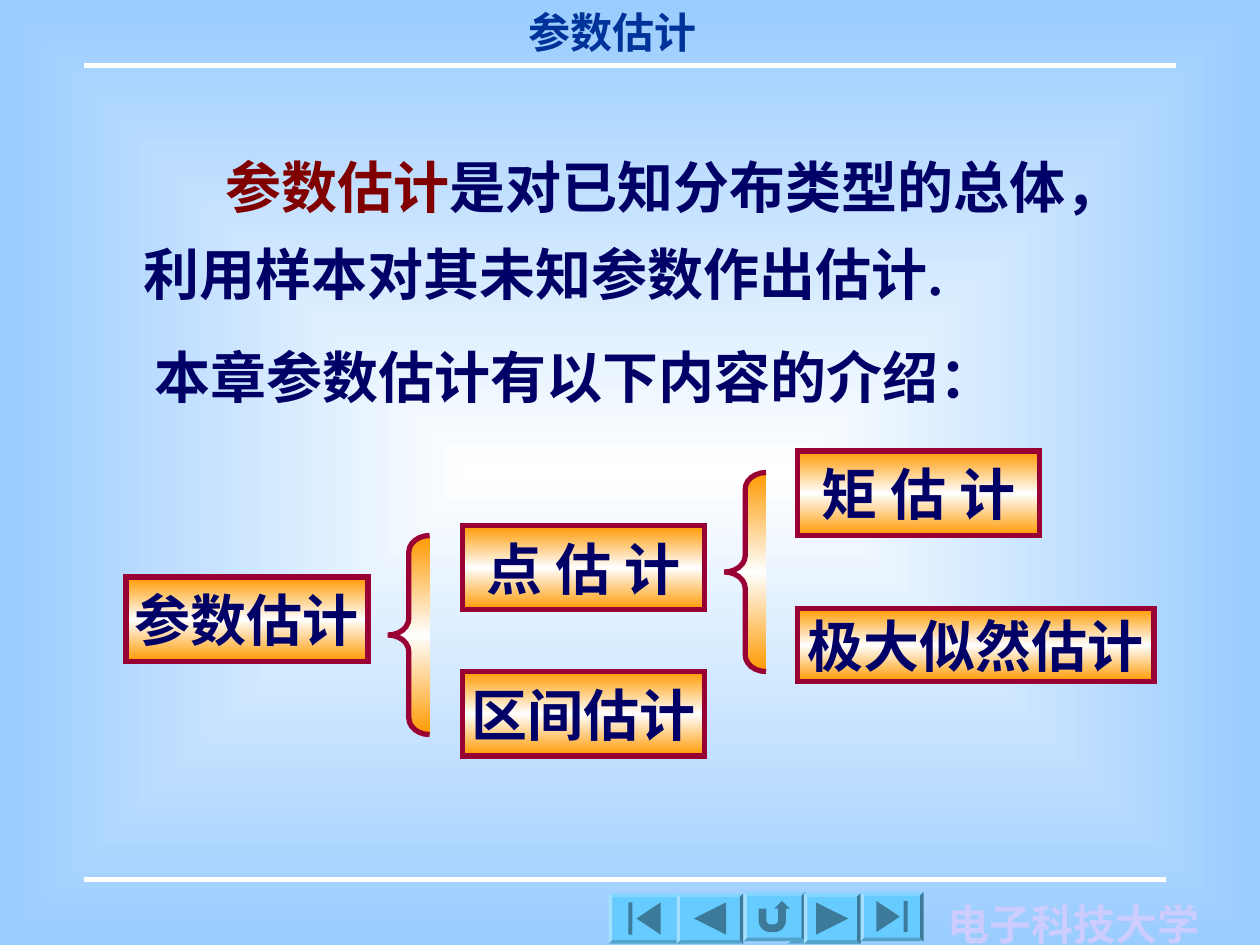
from copy import deepcopy

from lxml import etree
from pptx import Presentation
from pptx.dml.color import RGBColor
from pptx.enum.shapes import MSO_CONNECTOR, MSO_SHAPE as SHAPE
from pptx.enum.text import MSO_ANCHOR as ANCHOR, PP_ALIGN as ALIGN
from pptx.oxml.ns import qn
from pptx.util import Inches, Pt

WHITE = RGBColor(0xFF, 0xFF, 0xFF)
SKY = RGBColor(0x99, 0xCC, 0xFF)
ORANGE = RGBColor(0xFF, 0x99, 0x00)
CRIMSON = RGBColor(0x99, 0x00, 0x33)
MAROON = RGBColor(0x80, 0x00, 0x00)
NAVY = RGBColor(0x00, 0x00, 0x66)
BLUE = RGBColor(0x00, 0x33, 0x99)
BUTTON = RGBColor(0x66, 0xCC, 0xFF)
LILAC = RGBColor(0xCC, 0xCC, 0xFF)
SERIF, SANS = "Times New Roman", "Noto Sans CJK SC"


def style(p, size, color, name):
    p.font.size, p.font.bold, p.font.name = Pt(size), True, name
    p.font.color.rgb = color


def add_orange_shape(kind, x, y, w, h):
    """Add a shape with a vertical orange-white-orange gradient."""
    sp = s.shapes.add_shape(kind, Inches(x), Inches(y), Inches(w), Inches(h))
    sp.shadow.inherit = False
    sp.fill.gradient()
    sp.fill.gradient_angle = 90
    gs_list = sp._element.spPr.find(".//" + qn("a:gsLst"))
    gs_list.insert(1, deepcopy(gs_list[0]))
    for stop, pos, color in zip(sp.fill.gradient_stops, (0, 0.5, 1), (ORANGE, WHITE, ORANGE)):
        stop.position, stop.color.rgb = pos, color
    sp.line.color.rgb, sp.line.width = CRIMSON, Pt(3)
    etree.SubElement(sp._element.spPr.find(qn("a:ln")), qn("a:miter"), lim="800000")
    return sp


prs = Presentation()
prs.slide_width, prs.slide_height = Inches(10), Inches(7.5)
s = prs.slides.add_slide(prs.slide_layouts[5])

# Background: white centre fading to sky blue
bg = s.background.fill
bg.gradient()
for stop, pos, color in zip(bg.gradient_stops, (0, 1), (WHITE, SKY)):
    stop.position, stop.color.rgb = pos, color
grad = s._element.find(".//" + qn("a:gradFill"))
grad.remove(grad.find(qn("a:lin")))
rect_fade = etree.SubElement(grad, qn("a:path"), path="rect")
etree.SubElement(rect_fade, qn("a:fillToRect"), l="50000", t="50000", r="50000", b="50000")

# Rules under the header and above the footer
for y, right in ((6.98, 9.25), (0.52, 9.33)):
    rule = s.shapes.add_connector(
        MSO_CONNECTOR.STRAIGHT, Inches(0.67), Inches(y), Inches(right), Inches(y))
    rule.line.color.rgb, rule.line.width = WHITE, Pt(3)
    etree.SubElement(rule._element.spPr, qn("a:effectLst"))

title = s.shapes.title
title.left, title.top, title.width, title.height = Inches(3.86), 0, Inches(2), Inches(0.5)
tf = title.text_frame
tf.text, tf.word_wrap, tf.vertical_anchor = "参数估计", True, ANCHOR.TOP
tf.paragraphs[0].alignment = ALIGN.CENTER
style(tf.paragraphs[0], 24, BLUE, SERIF)

# Text blocks: place, line spacing, first-line indent, size, colour, runs
TEXTS = [
    (1.04, 1, 8.39, 1.67, 1.3, 0.65, 32, NAVY,
     [("参数估计", MAROON), ("是对已知分布类型的总体，利用样本对其未知参数作出估计.", NAVY)]),
    (1.13, 2.73, 7.7, 0.58, 0.9, 0, 32, NAVY, [("本章参数估计有以下内容的介绍：", NAVY)]),
    (7.42, 7.08, 2.3, 0.5, 1, 0, 24, LILAC, [("电子科技大学", LILAC)]),
]
for x, y, w, h, spacing, indent, size, color, runs in TEXTS:
    tf = s.shapes.add_textbox(Inches(x), Inches(y), Inches(w), Inches(h)).text_frame
    tf.word_wrap = True
    p = tf.paragraphs[0]
    p.line_spacing = spacing
    p._p.get_or_add_pPr().set("indent", str(Inches(indent)))
    style(p, size, color, SERIF)
    for text, run_color in runs:
        r = p.add_run()
        r.text = text
        r.font.color.rgb = run_color

# Tree of estimation methods
BOXES = [
    ("参数估计", 1, 4.58, 1.92, 0.67),
    ("点 估 计", 3.67, 4.17, 1.92, 0.67),
    ("区间估计", 3.67, 5.33, 1.92, 0.67),
    ("矩 估 计", 6.33, 3.58, 1.92, 0.67),
    ("极大似然估计", 6.33, 4.83, 2.83, 0.58),
]
for text, *place in BOXES:
    tf = add_orange_shape(SHAPE.RECTANGLE, *place).text_frame
    tf.text, tf.word_wrap, tf.vertical_anchor = text, False, ANCHOR.MIDDLE
    tf.paragraphs[0].alignment = ALIGN.CENTER
    style(tf.paragraphs[0], 32, NAVY, SANS)

for x, y in ((3.08, 4.25), (5.75, 3.75)):
    brace = add_orange_shape(SHAPE.LEFT_BRACE, x, y, 0.33, 1.58)
    brace.adjustments[0] = 0.4

# Navigation buttons: a bevelled frame with the icon set inside its edge
EDGE = 0.03
BUTTONS = [
    (SHAPE.ACTION_BUTTON_BEGINNING, 6.25, 7.09, 0.58, 0.4),
    (SHAPE.ACTION_BUTTON_BEGINNING, 4.83, 7.09, 0.57, 0.4),
    (SHAPE.ACTION_BUTTON_BACK_OR_PREVIOUS, 5.37, 7.09, 0.53, 0.4),
    (SHAPE.ACTION_BUTTON_RETURN, 5.9, 7.08, 0.49, 0.39),
    (SHAPE.ACTION_BUTTON_FORWARD_OR_NEXT, 6.38, 7.09, 0.45, 0.4),
    (SHAPE.ACTION_BUTTON_END, 6.83, 7.08, 0.5, 0.39),
]
for icon, x, y, w, h in BUTTONS:
    for kind, inset in ((SHAPE.BEVEL, 0), (icon, EDGE)):
        sp = s.shapes.add_shape(kind, Inches(x + inset), Inches(y + inset),
                                Inches(w - 2 * inset), Inches(h - 2 * inset))
        if kind == SHAPE.BEVEL:
            sp.adjustments[0] = EDGE / h
        sp.shadow.inherit = False
        sp.fill.solid()
        sp.fill.fore_color.rgb = BUTTON
        sp.line.fill.background()

prs.save("out.pptx")
